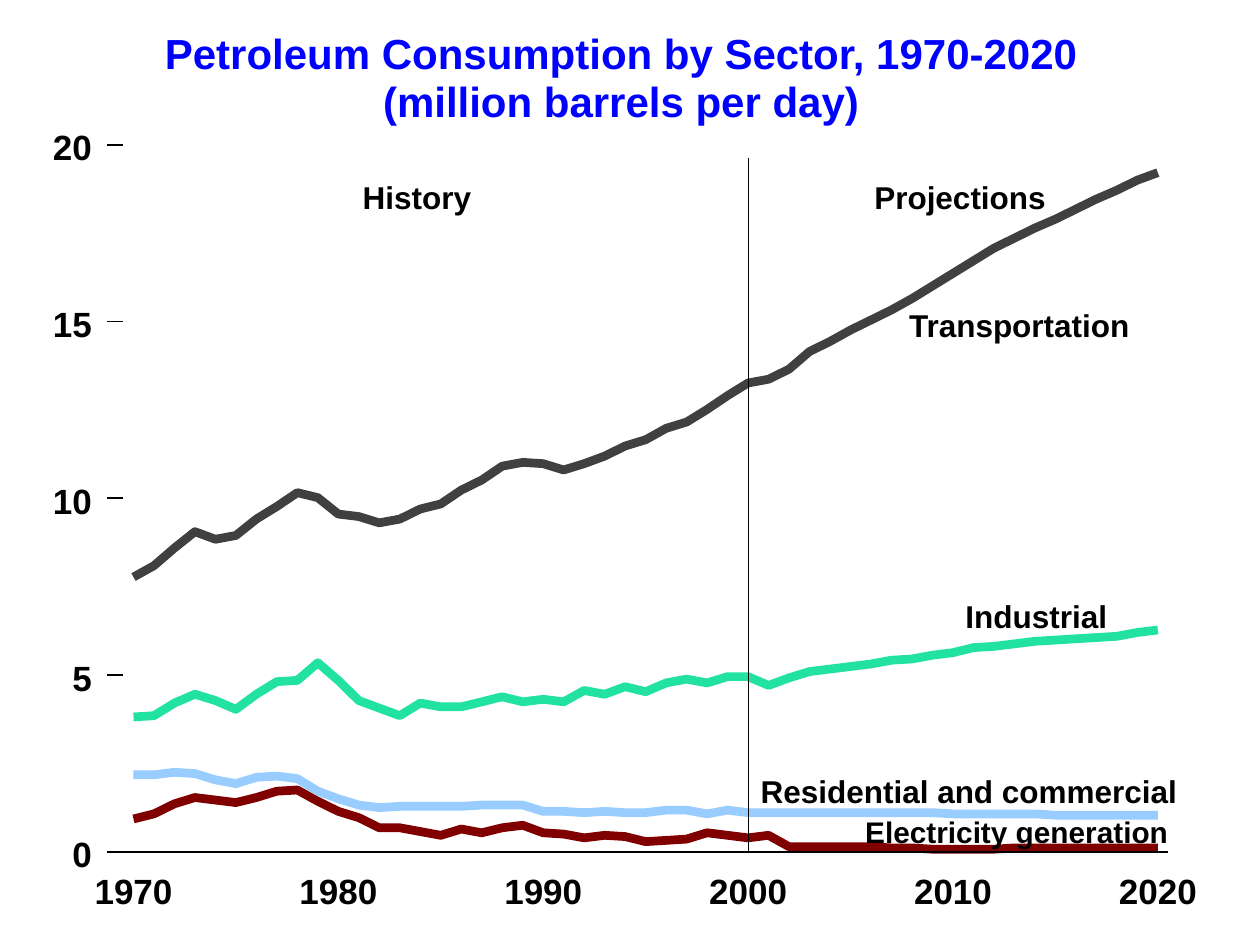
from pptx import Presentation
from pptx.dml.color import RGBColor
from pptx.enum.shapes import MSO_CONNECTOR
from pptx.enum.text import MSO_AUTO_SIZE, PP_ALIGN
from pptx.oxml.ns import qn
from pptx.util import Inches, Pt
from lxml.etree import SubElement

COLORS = {
    "title": "0000FF",
    "ink": "000000",
    "electricity": "800000",
    "transportation": "404040",
    "industrial": "22E2A1",
    "residential": "99CCFF",
}

PLOT_LEFT, PLOT_RIGHT = 1.06, 9.19
PLOT_TOP, PLOT_BOTTOM = 1.15, 6.76
AXIS_LEFT, AXIS_RIGHT = 0.98, 9.27
YEAR_STEP = (PLOT_RIGHT - PLOT_LEFT) / 50
TICK_STEP = (PLOT_BOTTOM - PLOT_TOP) / 4

SERIES_HEIGHTS = {
    "electricity": [
        6.5, 6.46, 6.38, 6.33, 6.35, 6.37, 6.33, 6.28, 6.27, 6.36,
        6.44, 6.49, 6.57, 6.57, 6.6, 6.63, 6.58, 6.61, 6.57, 6.55,
        6.61, 6.62, 6.65, 6.63, 6.64, 6.68, 6.67, 6.66, 6.61, 6.63,
        6.65, 6.63, 6.72, 6.72, 6.72, 6.72, 6.72, 6.73, 6.73, 6.74,
        6.74, 6.74, 6.74, 6.73, 6.73, 6.73, 6.73, 6.73, 6.73, 6.73, 6.73],
    "transportation": [
        4.58, 4.49, 4.35, 4.22, 4.28, 4.25, 4.12, 4.02, 3.91, 3.95,
        4.08, 4.1, 4.15, 4.12, 4.04, 4, 3.89, 3.81, 3.7, 3.67,
        3.68, 3.73, 3.68, 3.62, 3.54, 3.49, 3.4, 3.35, 3.25, 3.14,
        3.04, 3.01, 2.93, 2.79, 2.71, 2.62, 2.54, 2.46, 2.37, 2.27,
        2.17, 2.07, 1.97, 1.89, 1.81, 1.74, 1.66, 1.58, 1.51, 1.43, 1.37],
    "industrial": [
        5.69, 5.68, 5.58, 5.51, 5.56, 5.63, 5.51, 5.41, 5.4, 5.26,
        5.4, 5.56, 5.62, 5.68, 5.58, 5.61, 5.61, 5.57, 5.53, 5.57,
        5.55, 5.57, 5.48, 5.51, 5.45, 5.49, 5.42, 5.39, 5.42, 5.37,
        5.37, 5.44, 5.38, 5.33, 5.31, 5.29, 5.27, 5.24, 5.23, 5.2,
        5.18, 5.14, 5.13, 5.11, 5.09, 5.08, 5.07, 5.06, 5.05, 5.02, 5],
    "residential": [
        6.15, 6.15, 6.13, 6.14, 6.19, 6.22, 6.17, 6.16, 6.18, 6.28,
        6.34, 6.39, 6.41, 6.4, 6.4, 6.4, 6.4, 6.39, 6.39, 6.39,
        6.44, 6.44, 6.45, 6.44, 6.45, 6.45, 6.43, 6.43, 6.46, 6.43,
        6.45, 6.45, 6.45, 6.45, 6.45, 6.45, 6.45, 6.45, 6.45, 6.45,
        6.46, 6.46, 6.46, 6.46, 6.46, 6.47, 6.47, 6.47, 6.47, 6.47, 6.47],
}

LABELS = [
    ("Industrial", 7.65, 4.74, 1.15, 0.3, 18),
    ("History", 2.86, 1.41, 0.9, 0.3, 18),
    ("Projections", 6.92, 1.41, 1.4, 0.3, 18),
    ("Transportation", 7.2, 2.43, 1.78, 0.3, 18),
    ("Residential and commercial", 6.02, 6.13, 3.34, 0.3, 18),
    ("Electricity generation", 6.85, 6.46, 2.44, 0.28, 17),
]


class SlideBuilder:
    """Draws text, lines and series curves on one slide in a shared style."""

    def __init__(self, slide, font_name="Arial"):
        self.slide = slide
        self.font_name = font_name

    def text(self, content, left, top, width, height, size,
             color="ink", align=PP_ALIGN.CENTER, spacing=None):
        shape = self.slide.shapes.add_textbox(
            Inches(left), Inches(top), Inches(width), Inches(height))
        frame = shape.text_frame
        frame.margin_left = frame.margin_right = 0
        frame.margin_top = frame.margin_bottom = 0
        frame.word_wrap = False
        frame.auto_size = MSO_AUTO_SIZE.SHAPE_TO_FIT_TEXT
        frame.text = content
        for paragraph in frame.paragraphs:
            paragraph.alignment = align
            paragraph.line_spacing = spacing
            for run in paragraph.runs:
                run.font.name = self.font_name
                run.font.size = Pt(size)
                run.font.bold = True
                run.font.color.rgb = RGBColor.from_string(COLORS[color])

    def line(self, start_x, start_y, end_x, end_y, width=1):
        connector = self.slide.shapes.add_connector(
            MSO_CONNECTOR.STRAIGHT, Inches(start_x), Inches(start_y),
            Inches(end_x), Inches(end_y))
        connector.line.color.rgb = RGBColor.from_string(COLORS["ink"])
        connector.line.width = Pt(width)
        SubElement(connector.element.spPr, qn("a:effectLst"))

    def curve(self, heights, color):
        points = [(Inches(PLOT_LEFT + year * YEAR_STEP), Inches(height))
                  for year, height in enumerate(heights)]
        builder = self.slide.shapes.build_freeform(*points[0])
        builder.add_line_segments(points[1:], close=False)
        shape = builder.convert_to_shape()
        shape.shadow.inherit = False
        shape.fill.background()
        shape.line.color.rgb = RGBColor.from_string(COLORS[color])
        shape.line.width = Pt(5)


def main():
    presentation = Presentation()
    presentation.slide_width = Inches(10)
    presentation.slide_height = Inches(7.5)
    slide = presentation.slides.add_slide(presentation.slide_layouts[6])
    builder = SlideBuilder(slide)

    builder.text("Petroleum Consumption by Sector, 1970-2020\n(million barrels per day)",
                 1.3, 0.25, 7.26, 0.76, 24, color="title", spacing=0.95)
    for name, heights in SERIES_HEIGHTS.items():
        builder.curve(heights, name)

    tick_heights = [PLOT_BOTTOM - index * TICK_STEP for index in range(5)]
    for height in tick_heights:
        builder.line(0.85, height, AXIS_LEFT, height)
    builder.line(AXIS_LEFT, PLOT_BOTTOM, AXIS_RIGHT, PLOT_BOTTOM)

    for year in range(1970, 2021, 10):
        center = PLOT_LEFT + (year - 1970) * YEAR_STEP
        builder.text(str(year), center - 0.31, 6.9, 0.62, 0.33, 20)
    for index, height in enumerate(tick_heights):
        value = str(index * 5)
        width = 0.16 if len(value) == 1 else 0.31
        builder.text(value, 0.73 - width, height - 0.15, width, 0.33, 20,
                     align=PP_ALIGN.RIGHT)
    for label in LABELS:
        builder.text(*label)

    history_end = PLOT_LEFT + 30 * YEAR_STEP
    builder.line(history_end, 1.25, history_end, PLOT_BOTTOM, width=0.75)
    presentation.save("out.pptx")


if __name__ == "__main__":
    main()
